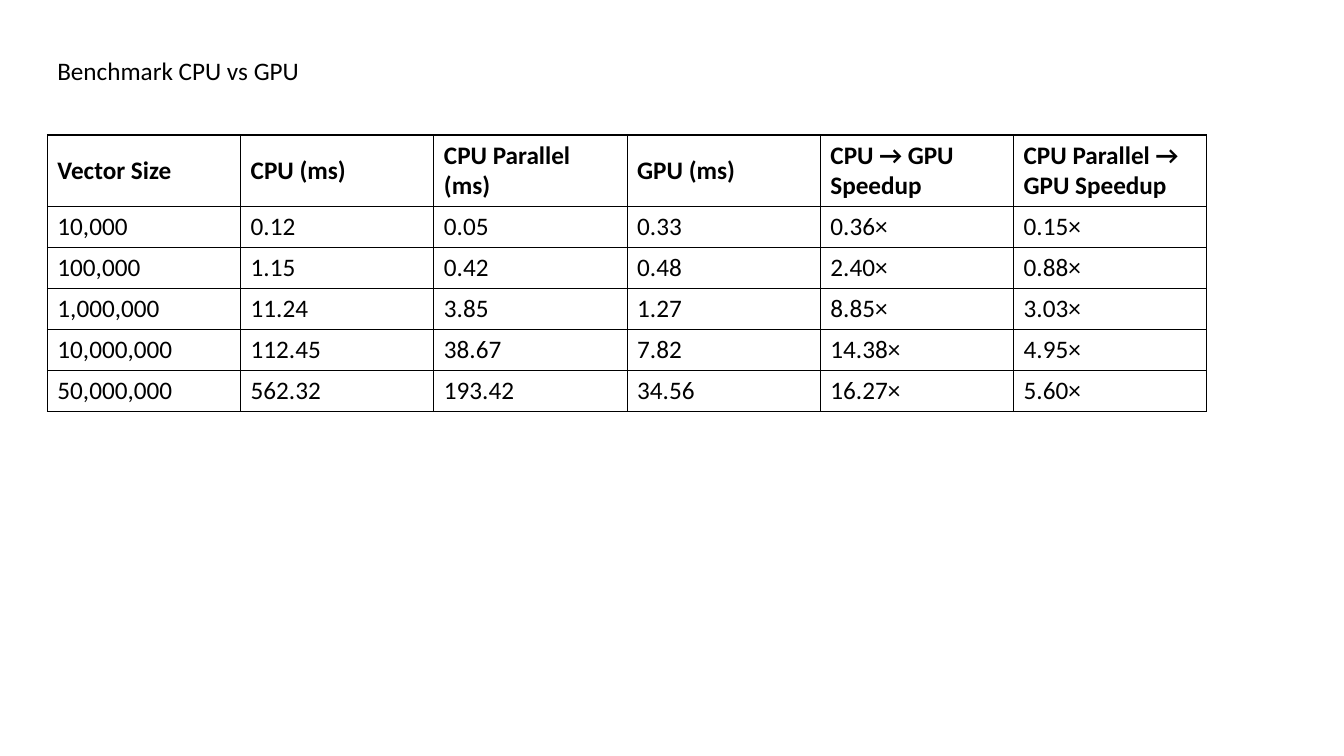
from lxml import etree
from pptx import Presentation
from pptx.dml.color import RGBColor
from pptx.enum.text import MSO_ANCHOR, MSO_AUTO_SIZE
from pptx.oxml.ns import qn
from pptx.util import Inches, Pt

MIDDLE = MSO_ANCHOR.MIDDLE
GROW = MSO_AUTO_SIZE.SHAPE_TO_FIT_TEXT
BLACK = "000000"
HEADER_HEIGHT, ROW_HEIGHT = 0.71, 0.4

HEADERS = ["Vector Size", "CPU (ms)", "CPU Parallel (ms)", "GPU (ms)",
           "CPU → GPU Speedup", "CPU Parallel → GPU Speedup"]
RESULTS = [
    ["10,000", "0.12", "0.05", "0.33", "0.36×", "0.15×"],
    ["100,000", "1.15", "0.42", "0.48", "2.40×", "0.88×"],
    ["1,000,000", "11.24", "3.85", "1.27", "8.85×", "3.03×"],
    ["10,000,000", "112.45", "38.67", "7.82", "14.38×", "4.95×"],
    ["50,000,000", "562.32", "193.42", "34.56", "16.27×", "5.60×"],
]


def rgb(color):
    """Turn a hex string into a colour."""
    return RGBColor.from_string(color)


def write(tf, text, size=18, bold=False, color=BLACK, font="Calibri"):
    """Write one formatted run into a text frame."""
    r = tf.paragraphs[0].add_run()
    r.text = text
    r.font.size = Pt(size)
    r.font.bold = bold
    r.font.name = font
    r.font.color.rgb = rgb(color)


def add_borders(cell, color=BLACK, width=1):
    """Draw a solid line on all four sides of a cell."""
    tc_pr = cell._tc.get_or_add_tcPr()
    for i, side in enumerate(("a:lnL", "a:lnR", "a:lnT", "a:lnB")):
        ln = etree.Element(qn(side), w=str(Pt(width)))
        fill = etree.SubElement(ln, qn("a:solidFill"))
        etree.SubElement(fill, qn("a:srgbClr"), val=color)
        tc_pr.insert(i, ln)


def add_title(s, text, left, top, width, height):
    """Place the slide heading in the given box."""
    box = s.shapes.add_textbox(Inches(left), Inches(top), Inches(width), Inches(height))
    tf = box.text_frame
    tf.word_wrap = True
    tf.auto_size = GROW
    write(tf, text)


def add_benchmark_table(s, left, top, width):
    """Place the bordered benchmark table, with equal columns."""
    rows = [HEADERS] + RESULTS
    heights = [HEADER_HEIGHT] + [ROW_HEIGHT] * len(RESULTS)
    frame = s.shapes.add_table(len(rows), len(HEADERS), Inches(left), Inches(top),
                               Inches(width), Inches(sum(heights)))
    table = frame.table
    table.horz_banding = False
    table.first_row = False
    for i, (row, height) in enumerate(zip(rows, heights)):
        table.rows[i].height = Inches(height)
        for j, text in enumerate(row):
            cell = table.cell(i, j)
            cell.fill.background()
            cell.vertical_anchor = MIDDLE
            add_borders(cell)
            write(cell.text_frame, text, bold=i == 0)


def main():
    """Build and save the benchmark slide."""
    prs = Presentation()
    prs.slide_width, prs.slide_height = Inches(13.33), Inches(7.5)
    s = prs.slides.add_slide(prs.slide_layouts[6])
    add_benchmark_table(s, 0.47, 1.34, 11.5)
    add_title(s, "Benchmark CPU vs GPU", 0.47, 0.5, 6.67, 0.4)
    prs.save("out.pptx")


if __name__ == "__main__":
    main()
